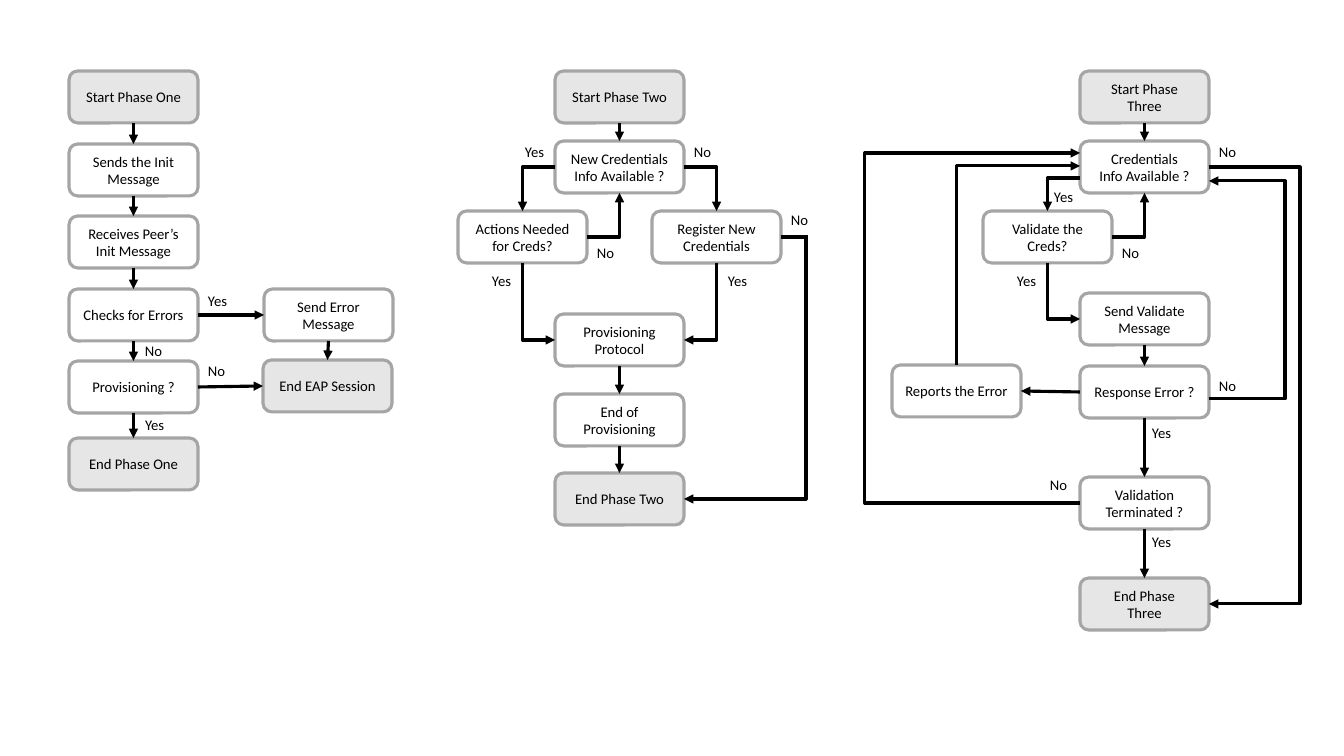
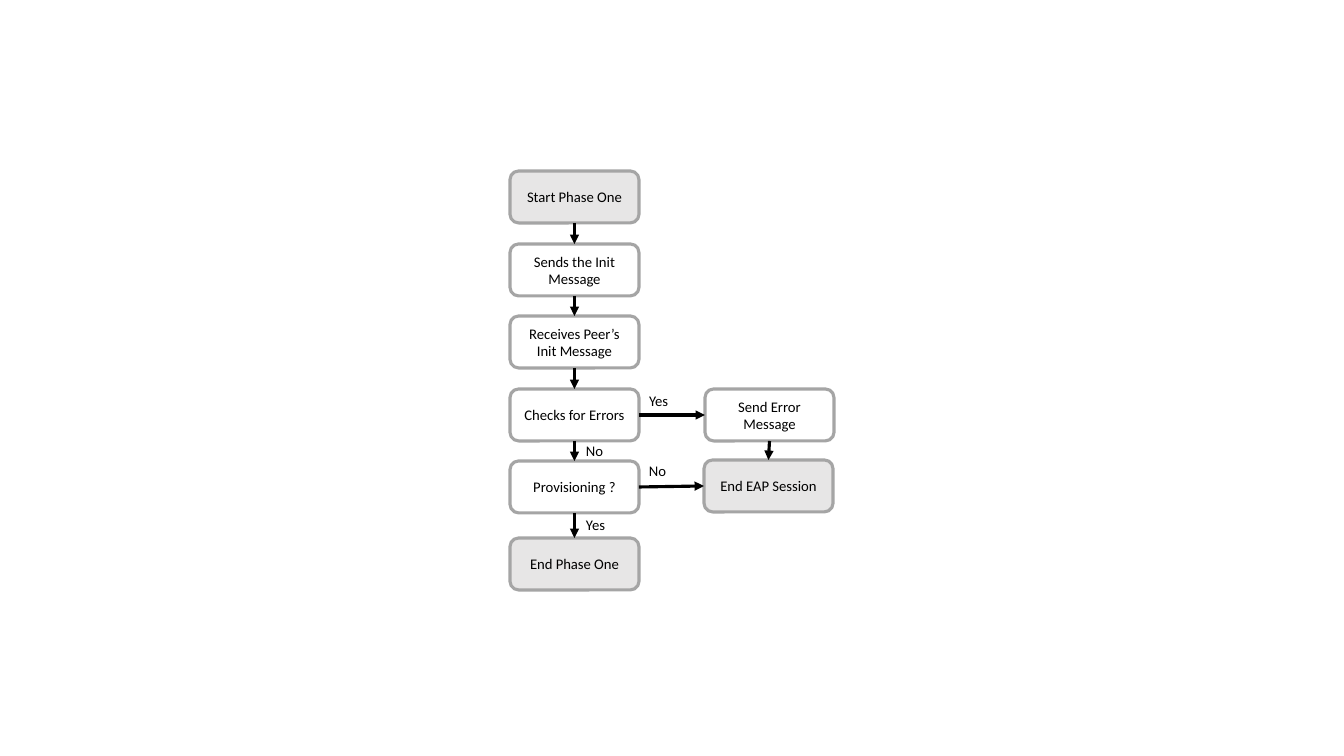
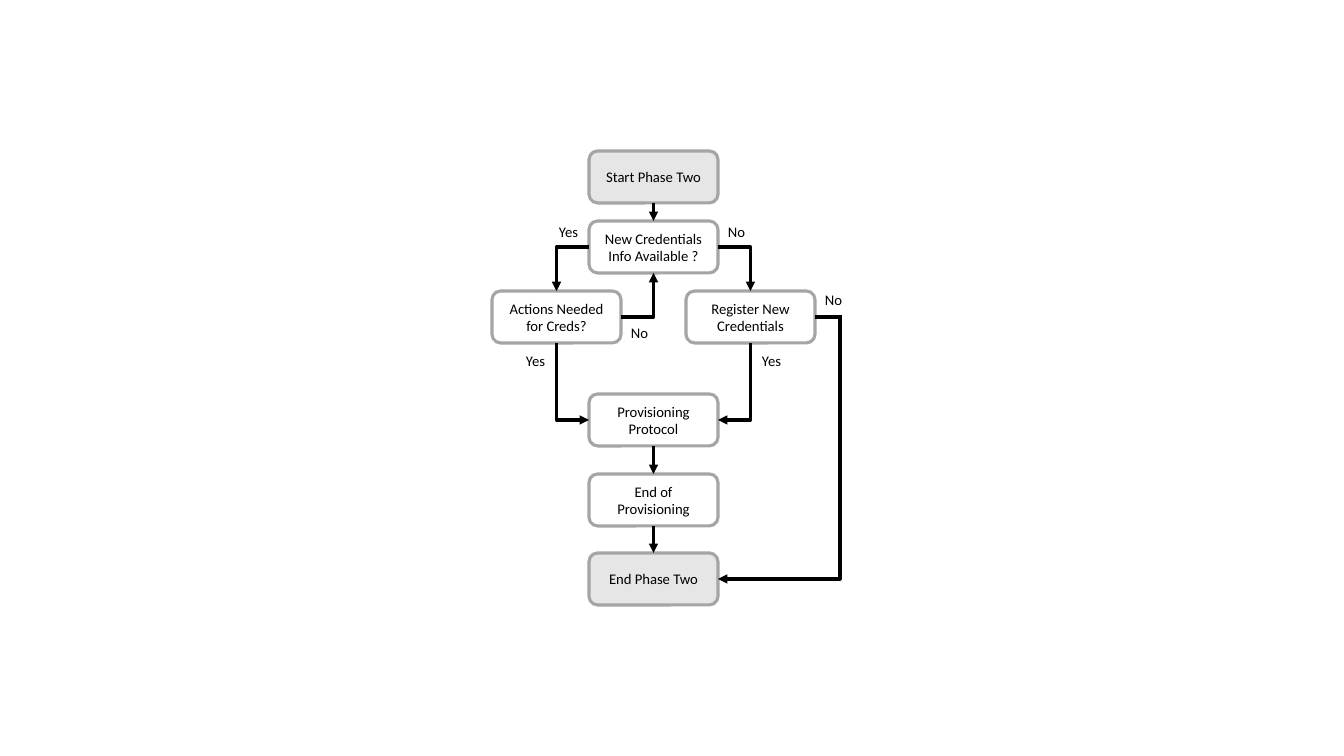
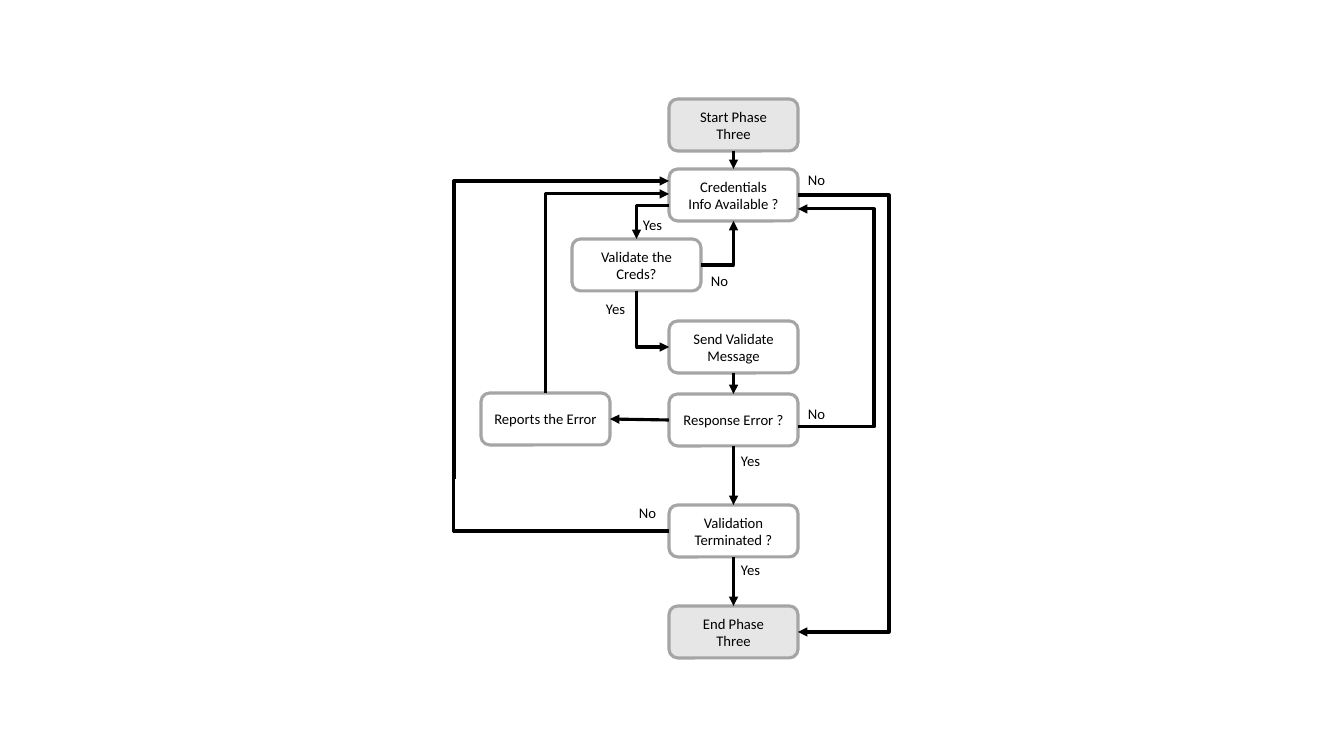
from dataclasses import dataclass
from enum import Enum
from typing import NamedTuple

from lxml import etree
from pptx import Presentation
from pptx.dml.color import RGBColor
from pptx.enum.shapes import MSO_CONNECTOR, MSO_SHAPE
from pptx.enum.text import MSO_ANCHOR, MSO_AUTO_SIZE, PP_ALIGN
from pptx.oxml.ns import qn
from pptx.shapes.connector import Connector
from pptx.shapes.shapetree import GroupShapes
from pptx.text.text import TextFrame
from pptx.util import Emu, Pt

# Shared look
PIXELS_PER_INCH = 100.8
SLIDE_W, SLIDE_H = 1344, 756
NODE_W, NODE_H = 129, 52
LABEL_WIDTHS = {"Yes": 41, "No": 37}
LABEL_H = 28
FONT = "Calibri"
TEXT_SIZE = Pt(10.5)
LINE_WIDTH = Pt(2.25)
BLACK = RGBColor(0x00, 0x00, 0x00)
WHITE = RGBColor(0xFF, 0xFF, 0xFF)
LIGHT_GRAY = RGBColor(0xE7, 0xE6, 0xE6)
BORDER_GRAY = RGBColor(0xA5, 0xA5, 0xA5)


class Side(Enum):
    """Where a link meets a node, as fractions of the node's size."""
    LEFT = (0, 0.5)
    RIGHT = (1, 0.5)
    TOP = (0.5, 0)
    BOTTOM = (0.5, 1)

    @property
    def horizontal(self) -> bool:
        return self in (Side.LEFT, Side.RIGHT)


class Point(NamedTuple):
    x: float
    y: float


class Port(NamedTuple):
    node: str
    side: Side
    shift: int = 0  # downwards from the middle of the side


@dataclass(frozen=True)
class Node:
    text: str
    x: int
    y: int
    terminal: bool = False


@dataclass(frozen=True)
class Label:
    text: str
    x: int
    y: int


@dataclass(frozen=True)
class Link:
    source: Port
    target: Port


@dataclass(frozen=True)
class Loop:
    """Two elbows that overlap along one vertical trunk."""
    source: Port
    target: Port
    trunk_x: int
    first_end_y: int
    second_start_y: int


@dataclass(frozen=True)
class Flow:
    nodes: dict[str, Node]
    links: list[Link]
    loops: list[Loop]
    labels: list[Label]


def down(*names: str) -> list[Link]:
    """Link each named node to the one below it."""
    return [Link(Port(a, Side.BOTTOM), Port(b, Side.TOP))
            for a, b in zip(names, names[1:])]


# The three flows, each measured from the corner of its start node
PHASE_ONE = Flow(
    nodes={
        "start": Node("Start Phase One", 0, 0, True),
        "send": Node("Sends the Init Message", 0, 73),
        "receive": Node("Receives Peer’s Init Message", 0, 145),
        "check": Node("Checks for Errors", 0, 218),
        "provision": Node("Provisioning ?", 0, 290),
        "end": Node("End Phase One", 0, 367, True),
        "error": Node("Send Error Message", 195, 218),
        "end session": Node("End EAP Session", 194, 289, True),
    },
    links=[
        *down("start", "send", "receive", "check", "provision", "end"),
        *down("error", "end session"),
        Link(Port("check", Side.RIGHT), Port("error", Side.LEFT)),
        Link(Port("provision", Side.RIGHT), Port("end session", Side.LEFT)),
    ],
    loops=[],
    labels=[Label("Yes", 128, 216), Label("No", 66, 266),
            Label("No", 129, 286), Label("Yes", 65, 340)],
)

PHASE_TWO = Flow(
    nodes={
        "start": Node("Start Phase Two", 0, 0, True),
        "credentials": Node("New Credentials\nInfo Available ?", 0, 70),
        "actions": Node("Actions Needed for Creds?", -97, 140),
        "register": Node("Register New Credentials", 97, 140),
        "protocol": Node("Provisioning\nProtocol", 0, 243),
        "provisioned": Node("End of Provisioning", 0, 323),
        "end": Node("End Phase Two", 0, 402, True),
    },
    links=[
        *down("start", "credentials"),
        *down("protocol", "provisioned", "end"),
        Link(Port("credentials", Side.LEFT), Port("actions", Side.TOP)),
        Link(Port("credentials", Side.RIGHT), Port("register", Side.TOP)),
        Link(Port("actions", Side.RIGHT), Port("credentials", Side.BOTTOM)),
        Link(Port("actions", Side.BOTTOM), Port("protocol", Side.LEFT)),
        Link(Port("register", Side.BOTTOM), Port("protocol", Side.RIGHT)),
    ],
    loops=[Loop(Port("register", Side.RIGHT), Port("end", Side.RIGHT), 251, 245, 164)],
    labels=[Label("Yes", -41, 67), Label("No", 129, 67), Label("Yes", -74, 196),
            Label("No", 32, 168), Label("Yes", 162, 196), Label("No", 226, 135)],
)

PHASE_THREE = Flow(
    nodes={
        "start": Node("Start Phase Three", 0, 0, True),
        "credentials": Node("Credentials\nInfo Available ?", 0, 70),
        "validate": Node("Validate the Creds?", -97, 140),
        "send": Node("Send Validate Message", 0, 222),
        "response": Node("Response Error ?", 0, 295),
        "report": Node("Reports the Error", -188, 294),
        "terminated": Node("Validation Terminated ?", 0, 406),
        "end": Node("End Phase\nThree", 0, 507, True),
    },
    links=[
        *down("start", "credentials"),
        *down("send", "response", "terminated", "end"),
        Link(Port("credentials", Side.LEFT, 11), Port("validate", Side.TOP)),
        Link(Port("validate", Side.RIGHT), Port("credentials", Side.BOTTOM)),
        Link(Port("validate", Side.BOTTOM), Port("send", Side.LEFT)),
        Link(Port("response", Side.LEFT), Port("report", Side.RIGHT)),
        Link(Port("report", Side.TOP), Port("credentials", Side.LEFT, -1)),
    ],
    loops=[
        Loop(Port("credentials", Side.RIGHT), Port("end", Side.RIGHT), 220, 275, 269),
        Loop(Port("response", Side.RIGHT, 7), Port("credentials", Side.RIGHT, 14),
             205, 226, 297),
        Loop(Port("terminated", Side.LEFT), Port("credentials", Side.LEFT, -14),
             -215, 266, 380),
    ],
    labels=[Label("Yes", -37, 112), Label("No", 129, 67), Label("Yes", -74, 196),
            Label("No", 32, 168), Label("Yes", 61, 348), Label("No", 129, 301),
            Label("Yes", 61, 457), Label("No", -40, 400)],
)

# Flows on each slide, with the corner of their start nodes
SLIDES: list[list[tuple[Flow, Point]]] = [
    [(PHASE_TWO, Point(555, 71)), (PHASE_THREE, Point(1080, 71)),
     (PHASE_ONE, Point(69, 71))],
    [(PHASE_ONE, Point(510, 171))],
    [(PHASE_TWO, Point(589, 151))],
    [(PHASE_THREE, Point(669, 99))],
]

# Elbow turns: (starts horizontally, goes right, goes down) -> rotation, flips
ELBOW_TURNS: dict[tuple[bool, bool, bool], tuple[int, bool, bool]] = {
    (True, True, True): (0, False, False),
    (True, True, False): (0, False, True),
    (True, False, True): (180, False, True),
    (True, False, False): (0, True, True),
    (False, True, True): (270, True, False),
    (False, True, False): (90, True, True),
    (False, False, True): (90, False, False),
    (False, False, False): (270, False, True),
}


def px(length: float) -> Emu:
    return Emu(round(length * 914400 / PIXELS_PER_INCH))


def write(frame: TextFrame, text: str) -> None:
    frame.text = text
    for paragraph in frame.paragraphs:
        paragraph.alignment = PP_ALIGN.CENTER
        font = paragraph.runs[0].font
        font.name, font.size = FONT, TEXT_SIZE
        font.color.rgb = BLACK


def draw_node(shapes: GroupShapes, node: Node, origin: Point) -> None:
    box = shapes.add_shape(MSO_SHAPE.ROUNDED_RECTANGLE, px(origin.x + node.x),
                           px(origin.y + node.y), px(NODE_W), px(NODE_H))
    box.shadow.inherit = False
    box.fill.solid()
    box.fill.fore_color.rgb = LIGHT_GRAY if node.terminal else WHITE
    box.line.color.rgb = BORDER_GRAY
    box.line.width = LINE_WIDTH
    box.text_frame.word_wrap = True
    box.text_frame.vertical_anchor = MSO_ANCHOR.MIDDLE
    write(box.text_frame, node.text)


def draw_label(shapes: GroupShapes, label: Label, origin: Point) -> None:
    box = shapes.add_textbox(px(origin.x + label.x), px(origin.y + label.y),
                             px(LABEL_WIDTHS[label.text]), px(LABEL_H))
    box.text_frame.word_wrap = False
    box.text_frame.auto_size = MSO_AUTO_SIZE.SHAPE_TO_FIT_TEXT
    write(box.text_frame, label.text)


def style_line(line: Connector, arrow: bool) -> None:
    line.line.color.rgb = BLACK
    line.line.width = LINE_WIDTH
    properties = line.element.spPr
    if arrow:
        outline = properties.find(qn("a:ln"))
        etree.SubElement(outline, qn("a:tailEnd"), type="triangle")
    etree.SubElement(properties, qn("a:effectLst"))


def draw_straight(shapes: GroupShapes, start: Point, end: Point) -> None:
    line = shapes.add_connector(MSO_CONNECTOR.STRAIGHT, px(start.x), px(start.y),
                                px(end.x), px(end.y))
    style_line(line, arrow=True)


def draw_elbow(shapes: GroupShapes, start: Point, end: Point,
               horizontal_first: bool, arrow: bool = True) -> None:
    width, height = abs(end.x - start.x), abs(end.y - start.y)
    if not horizontal_first:
        width, height = height, width  # the frame before its quarter turn
    left = (start.x + end.x - width) / 2
    top = (start.y + end.y - height) / 2
    line = shapes.add_connector(MSO_CONNECTOR.ELBOW, px(left), px(top),
                                px(left + width), px(top + height))
    rotation, flip_h, flip_v = ELBOW_TURNS[
        horizontal_first, end.x > start.x, end.y > start.y]
    properties = line.element.spPr
    properties.find(qn("a:prstGeom")).set("prst", "bentConnector2")
    frame = properties.find(qn("a:xfrm"))
    frame.set("rot", str(rotation * 60000))
    frame.set("flipH", str(int(flip_h)))
    frame.set("flipV", str(int(flip_v)))
    style_line(line, arrow)


def locate(flow: Flow, port: Port, origin: Point) -> Point:
    node = flow.nodes[port.node]
    across, along = port.side.value
    return Point(origin.x + node.x + across * NODE_W,
                 origin.y + node.y + along * NODE_H + port.shift)


def draw_link(shapes: GroupShapes, flow: Flow, link: Link, origin: Point) -> None:
    start = locate(flow, link.source, origin)
    end = locate(flow, link.target, origin)
    starts_horizontal = link.source.side.horizontal
    if starts_horizontal == link.target.side.horizontal:
        draw_straight(shapes, start, end)
    else:
        draw_elbow(shapes, start, end, starts_horizontal)


def draw_loop(shapes: GroupShapes, flow: Flow, loop: Loop, origin: Point) -> None:
    trunk_x = origin.x + loop.trunk_x
    draw_elbow(shapes, locate(flow, loop.source, origin),
               Point(trunk_x, origin.y + loop.first_end_y),
               horizontal_first=True, arrow=False)
    draw_elbow(shapes, Point(trunk_x, origin.y + loop.second_start_y),
               locate(flow, loop.target, origin), horizontal_first=False)


def draw_flow(shapes: GroupShapes, flow: Flow, origin: Point) -> None:
    for node in flow.nodes.values():
        draw_node(shapes, node, origin)
    for link in flow.links:
        draw_link(shapes, flow, link, origin)
    for loop in flow.loops:
        draw_loop(shapes, flow, loop, origin)
    for label in flow.labels:
        draw_label(shapes, label, origin)


# Build the deck
presentation = Presentation()
presentation.slide_width, presentation.slide_height = px(SLIDE_W), px(SLIDE_H)
blank_layout = presentation.slide_layouts[6]
for placed_flows in SLIDES:
    slide = presentation.slides.add_slide(blank_layout)
    for flow, origin in placed_flows:
        draw_flow(slide.shapes.add_group_shape().shapes, flow, origin)
presentation.save("out.pptx")
